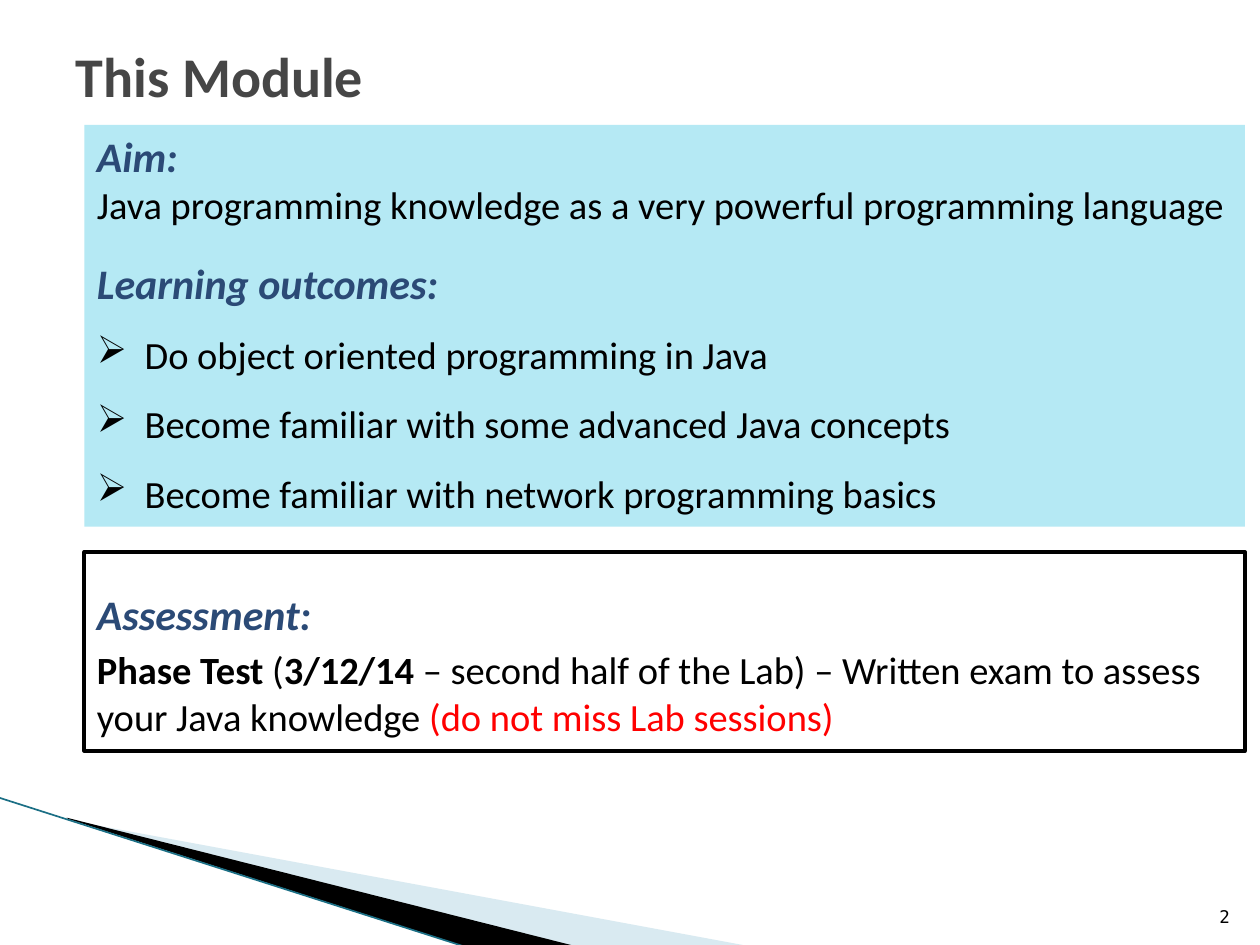
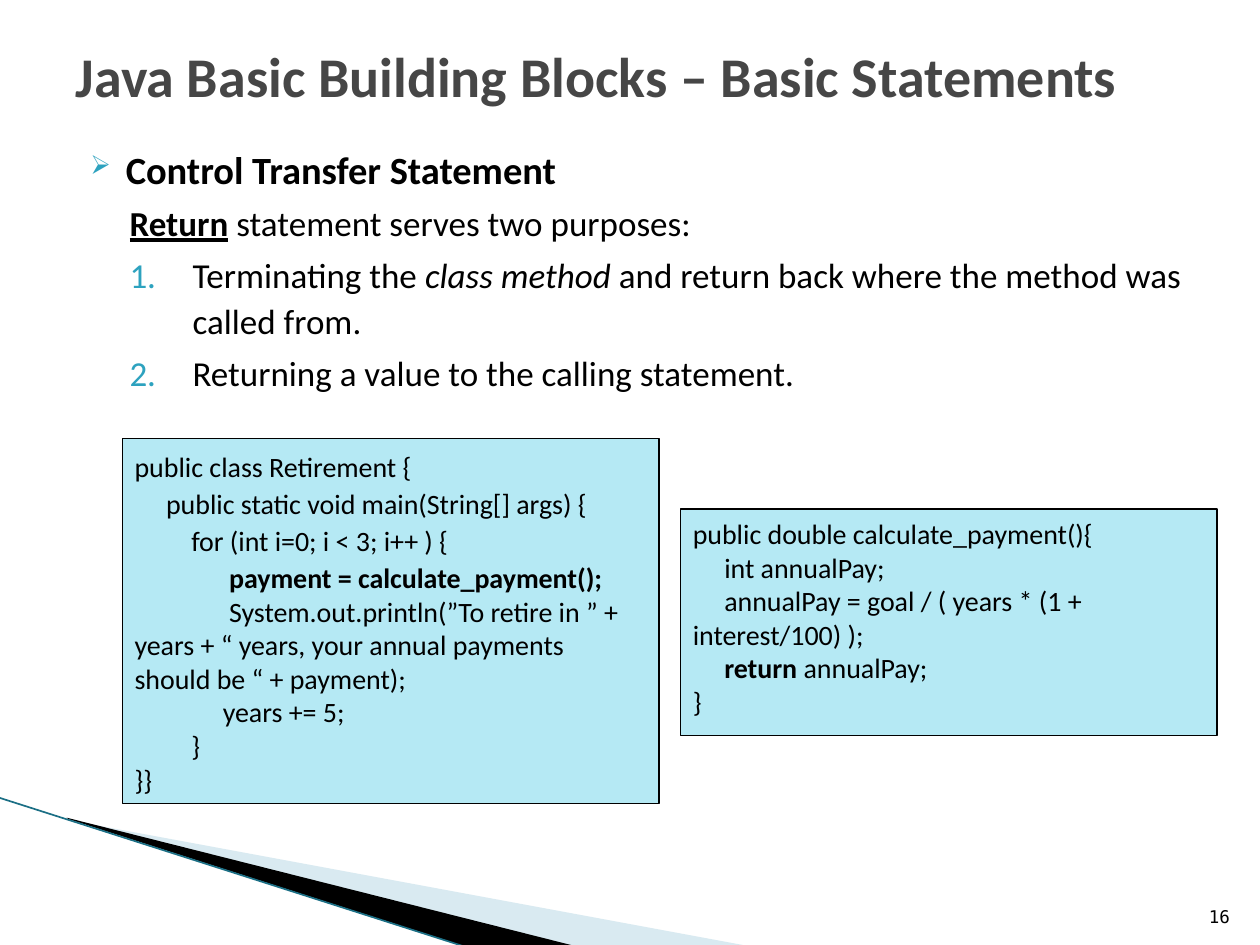
from pptx import Presentation
from pptx.dml.color import RGBColor
from pptx.enum.shapes import MSO_CONNECTOR as Connector, MSO_SHAPE as Shape
from pptx.enum.text import MSO_ANCHOR as Anchor, MSO_AUTO_SIZE as AutoSize, PP_ALIGN as Align
from pptx.oxml.ns import qn
from pptx.util import Inches, Pt
from lxml.etree import SubElement

# Shared look
FONT = "Calibri"
NUMBER_FONT = "DejaVu Sans Mono"
BLACK = RGBColor(0x00, 0x00, 0x00)
WHITE = RGBColor(0xFF, 0xFF, 0xFF)
RED = RGBColor(0xFF, 0x00, 0x00)
TITLE_GREY = RGBColor(0x46, 0x46, 0x46)
HEADING_BLUE = RGBColor(0x2B, 0x4A, 0x76)
PANEL_BLUE = RGBColor(0xB5, 0xE9, 0xF4)
BULLET_TEAL = RGBColor(0x2D, 0xA2, 0xBF)
SWOOSH_BLUE = RGBColor(0xA0, 0xCB, 0xDC)
EDGE_TEAL = RGBColor(0x1B, 0x6F, 0x85)

ARROW = "\u27a2"
NUMBERED = "arabicPeriod"
CODE_SPACE = 0.05  # width in inches of one column of code indent


def add_run(para, text, size, color=BLACK, bold=False, italic=False,
            underline=False, font=FONT):
    span = para.add_run()
    span.text = text
    span.font.name = font
    span.font.size = Pt(size)
    span.font.bold = bold
    span.font.italic = italic
    span.font.underline = underline
    span.font.color.rgb = color


def add_para(frame, spacing=1.0, before=0, left=0, indent=0):
    """Use the frame's empty first paragraph, or append a new one."""
    first = frame.paragraphs[0]
    para = frame.add_paragraph() if first.runs else first
    para.alignment = Align.LEFT
    para.line_spacing = spacing
    para.space_before = Pt(before)
    props = para._p.get_or_add_pPr()
    props.set("marL", str(Inches(left)))
    props.set("indent", str(Inches(indent)))
    return para


def add_bullet(para, mark, color=None, percent=None):
    props = para._p.get_or_add_pPr()
    if color is not None:
        holder = SubElement(props, qn("a:buClr"))
        SubElement(holder, qn("a:srgbClr")).set("val", str(color))
    if percent:
        SubElement(props, qn("a:buSzPct")).set("val", str(percent * 1000))
    if mark == NUMBERED:
        SubElement(props, qn("a:buAutoNum")).set("type", mark)
    else:
        SubElement(props, qn("a:buChar")).set("char", mark)


def add_heading(frame, text, **layout):
    add_run(add_para(frame, **layout), text, 24, HEADING_BLUE, bold=True, italic=True)


def add_text_box(page, left, top, width, height, anchor=Anchor.TOP):
    box = page.shapes.add_textbox(Inches(left), Inches(top), Inches(width), Inches(height))
    frame = box.text_frame
    frame.word_wrap = True
    frame.vertical_anchor = anchor
    return frame


def add_panel(page, left, top, width, height, fill, line_width=0, anchor=Anchor.TOP):
    panel = page.shapes.add_shape(Shape.RECTANGLE, Inches(left), Inches(top),
                                  Inches(width), Inches(height))
    panel.shadow.inherit = False
    panel.fill.solid()
    panel.fill.fore_color.rgb = fill
    if line_width:
        panel.line.color.rgb = BLACK
        panel.line.width = Pt(line_width)
    else:
        panel.line.fill.background()
    frame = panel.text_frame
    frame.word_wrap = True
    frame.vertical_anchor = anchor
    return frame


def add_wedge(page, points, color, opacity=100):
    corners = [(Inches(x), Inches(y)) for x, y in points]
    builder = page.shapes.build_freeform(*corners[0], scale=1.0)
    builder.add_line_segments(corners[1:], close=True)
    wedge = builder.convert_to_shape()
    wedge.shadow.inherit = False
    wedge.fill.solid()
    wedge.fill.fore_color.rgb = color
    wedge.line.fill.background()
    if opacity < 100:
        tint = wedge._element.spPr.find(qn("a:solidFill"))[0]
        SubElement(tint, qn("a:alpha")).set("val", str(opacity * 1000))


def add_swoosh(page):
    """Corner decoration: pale wedge, black wedge and a thin edge line."""
    add_wedge(page, [(0.55, 6.51), (5.95, 7.51), (4.56, 7.51), (0.55, 6.5)],
              SWOOSH_BLUE, opacity=40)
    add_wedge(page, [(0.53, 6.49), (4.57, 7.51), (3.72, 7.52), (0.54, 6.5)], BLACK)
    edge = page.shapes.add_connector(Connector.STRAIGHT, Inches(-0.01), Inches(6.33),
                                     Inches(3.71), Inches(7.52))
    edge.line.color.rgb = EDGE_TEAL
    edge.line.width = Pt(0.95)
    SubElement(edge._element.spPr, qn("a:effectLst"))


def add_page(deck, title, number):
    page = deck.slides.add_slide(deck.slide_layouts[5])
    add_swoosh(page)

    # Title
    heading = page.shapes.title
    heading.left, heading.top = Inches(0.5), Inches(0.21)
    heading.width, heading.height = Inches(9), Inches(0.77)
    frame = heading.text_frame
    frame.auto_size = AutoSize.NONE
    frame.vertical_anchor = Anchor.MIDDLE
    add_run(add_para(frame), title, 32, TITLE_GREY, bold=True)

    # Page number
    para = add_para(add_text_box(page, 9.46, 7.01, 0.4, 0.4, Anchor.BOTTOM))
    para.alignment = Align.RIGHT
    add_run(para, number, 10, font=NUMBER_FONT)
    return page


def add_code(page, left, top, height, lines, bottom_inset=0.05):
    """Each line is (columns of indent, line spacing, [(text, bold), ...])."""
    frame = add_panel(page, left, top, 4.26, height, PANEL_BLUE, 0.75, Anchor.MIDDLE)
    frame.margin_bottom = Inches(bottom_inset)
    for columns, spacing, spans in lines:
        para = add_para(frame, spacing, indent=columns * CODE_SPACE)
        for text, bold in spans:
            add_run(para, text, 16, bold=bold)


def build_module_page(deck):
    page = add_page(deck, "This Module", "2")

    # Aim and outcomes
    goals = add_panel(page, 0.67, 0.99, 9.21, 3.19, PANEL_BLUE)
    add_heading(goals, "Aim:")
    add_run(add_para(goals),
            "Java programming knowledge as a very powerful programming language", 22)
    add_heading(goals, "Learning outcomes:", spacing=1.6)
    for outcome in ("Do object oriented programming in Java",
                    "Become familiar with some advanced Java concepts",
                    "Become familiar with network programming basics"):
        para = add_para(goals, 1.5, left=0.38, indent=-0.38)
        add_bullet(para, ARROW)
        add_run(para, outcome, 22)

    # Assessment
    exam = add_panel(page, 0.67, 4.38, 9.21, 1.58, WHITE, 2.25)
    add_heading(exam, "Assessment:", spacing=1.6, before=4.8)
    para = add_para(exam, before=4.4)
    add_run(para, "Phase Test ", 22, bold=True)
    add_run(para, "(", 22)
    add_run(para, "3/12/14 ", 22, bold=True)
    add_run(para, "\u2013 second half of the Lab) \u2013 Written exam to assess "
                  "your Java knowledge ", 22)
    add_run(para, "(do not miss Lab sessions)", 22, RED)


def build_return_page(deck):
    page = add_page(deck, "Java Basic Building Blocks \u2013 Basic Statements", "16")

    # Explanation
    body = add_text_box(page, 0.5, 1.07, 9.3, 2.3)
    para = add_para(body, 1.1, 4, left=0.4, indent=-0.28)
    add_bullet(para, ARROW, BULLET_TEAL, 68)
    add_run(para, "Control Transfer Statement", 22, bold=True)

    para = add_para(body, 1.1, 3.2, left=0.43)
    add_run(para, "Return", 20, bold=True, underline=True)
    add_run(para, " statement serves two purposes:", 20)

    purposes = [
        [("Terminating the", False), (" class method", True),
         (" and return back where the method was called from.", False)],
        [("Returning a value to the calling statement.", False)],
    ]
    for spans in purposes:
        para = add_para(body, 1.1, 3.2, left=0.93, indent=-0.5)
        add_bullet(para, NUMBERED, BULLET_TEAL)
        for text, italic in spans:
            add_run(para, text, 20, italic=italic)

    # Caller and called method
    add_code(page, 0.97, 3.48, 2.9, [
        (0, 1.1, [("public class Retirement {", False)]),
        (5, 1.1, [("public static void main(String[] args) {", False)]),
        (9, 1.1, [("for (int i=0; i < 3; i++ ) {", False)]),
        (15, 1.1, [("payment = calculate_payment();", True)]),
        (15, 1.0, [("System.out.println(\u201dTo retire in \u201d + years + \u201c years, "
                    "your annual payments should be \u201c + payment);", False)]),
        (14, 1.0, [("years += 5;", False)]),
        (9, 1.0, [("}", False)]),
        (0, 1.0, [("}}", False)]),
    ])
    add_code(page, 5.4, 4.04, 1.8, [
        (0, 1.0, [("public double calculate_payment(){", False)]),
        (5, 1.0, [("int annualPay;", False)]),
        (5, 1.0, [("annualPay = goal / ( years * (1 + interest/100) );", False)]),
        (5, 1.0, [("return ", True), ("annualPay;", False)]),
        (0, 1.0, [("}", False)]),
    ], bottom_inset=0.13)


def main():
    deck = Presentation()
    deck.slide_width, deck.slide_height = Inches(10), Inches(7.5)
    build_module_page(deck)
    build_return_page(deck)
    deck.save("out.pptx")


main()
